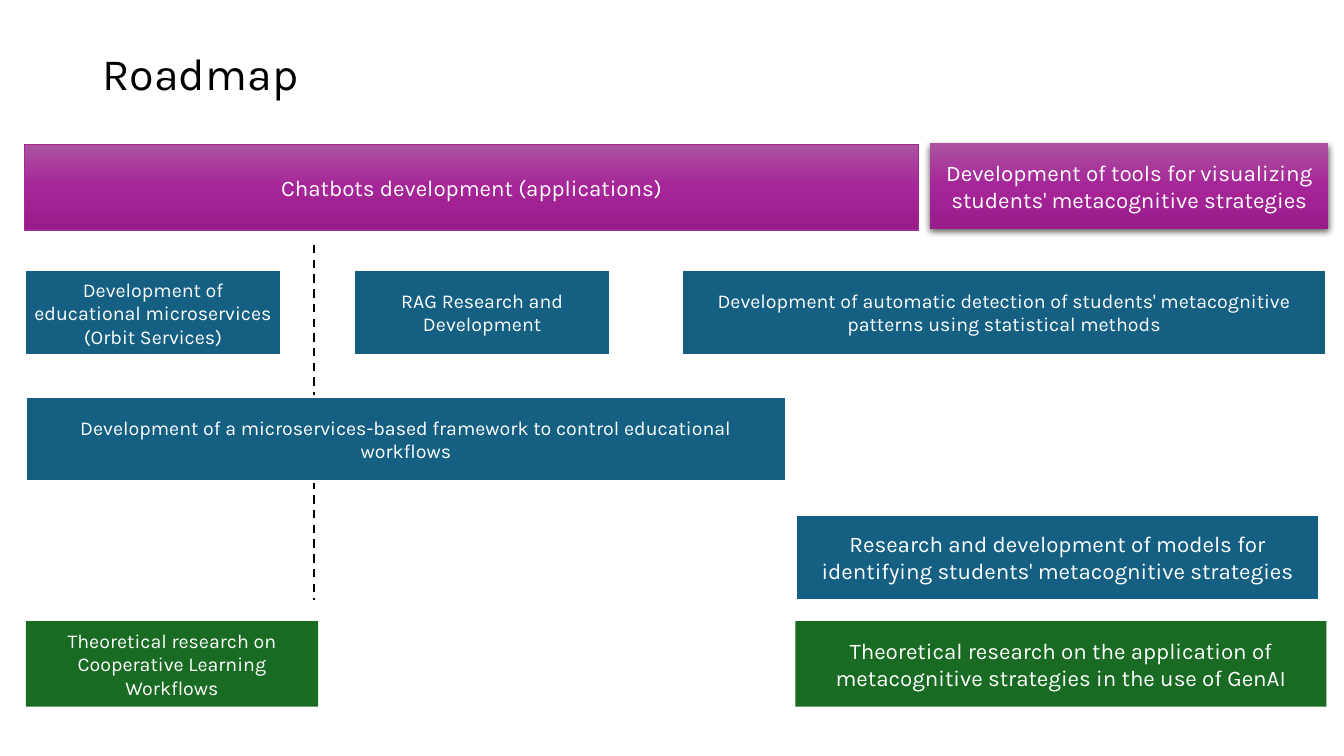
from copy import deepcopy

from lxml import etree
from pptx import Presentation
from pptx.dml.color import RGBColor
from pptx.enum.dml import MSO_LINE
from pptx.enum.shapes import MSO_CONNECTOR, MSO_SHAPE
from pptx.enum.text import MSO_ANCHOR, PP_ALIGN
from pptx.oxml.ns import qn
from pptx.util import Pt

RECTANGLE = MSO_SHAPE.RECTANGLE
STRAIGHT = MSO_CONNECTOR.STRAIGHT
DASH = MSO_LINE.DASH
MIDDLE = MSO_ANCHOR.MIDDLE
LEFT, CENTER = PP_ALIGN.LEFT, PP_ALIGN.CENTER

BLACK = RGBColor(0x00, 0x00, 0x00)
WHITE = RGBColor(0xFF, 0xFF, 0xFF)
BLUE = RGBColor(0x15, 0x60, 0x82)
GREEN = RGBColor(0x19, 0x6B, 0x24)
PURPLE = RGBColor(0xA0, 0x2B, 0x93)
PURPLE_STOPS = [
    (0, RGBColor(0xAC, 0x53, 0xA0)),
    (0.5, RGBColor(0xA6, 0x25, 0x98)),
    (1, RGBColor(0x99, 0x1C, 0x8B)),
]

FONT = "Karla"
BAR_HEIGHT = 61.2
TOOLS_ROW, RESEARCH_ROW, FRAMEWORK_ROW, MODELS_ROW, THEORY_ROW = 102.4, 192.4, 283, 367.4, 443.6


class RoadmapPage:
    def __init__(self, deck):
        self.page = deck.slides.add_slide(deck.slide_layouts[5])

    def add_text(self, shape, text, size, color, align):
        frame = shape.text_frame
        frame.word_wrap = True
        frame.vertical_anchor = MIDDLE
        para = frame.paragraphs[0]
        para.alignment = align
        span = para.add_run()
        span.text = text
        span.font.name = FONT
        span.font.size = Pt(size)
        span.font.color.rgb = color
        return para

    def title(self, text, left, top, width, height):
        title = self.page.shapes.title
        title.left, title.top = Pt(left), Pt(top)
        title.width, title.height = Pt(width), Pt(height)
        self.add_text(title, text, 32, BLACK, LEFT).line_spacing = 0.9

    def bar(self, text, left, top, width, size, outline=None, outline_width=2):
        """Add a bar with its text; the caller chooses its fill."""
        bar = self.page.shapes.add_shape(
            RECTANGLE, Pt(left), Pt(top), Pt(width), Pt(BAR_HEIGHT))
        bar.shadow.inherit = False
        if outline is None:
            bar.line.fill.background()
        else:
            bar.line.color.rgb = outline
            bar.line.width = Pt(outline_width)
        self.add_text(bar, text, size, WHITE, CENTER)
        return bar

    def solid_bar(self, color, *details, **outline):
        bar = self.bar(*details, **outline)
        bar.fill.solid()
        bar.fill.fore_color.rgb = color

    def gradient_bar(self, *details, **outline):
        bar = self.bar(*details, **outline)
        bar.fill.gradient()
        bar.fill.gradient_angle = 270
        stops = bar._element.spPr.find(".//" + qn("a:gsLst"))
        stops.append(deepcopy(stops[0]))
        for stop, (position, color) in zip(bar.fill.gradient_stops, PURPLE_STOPS):
            stop.position = position
            stop.color.rgb = color
        return bar

    def drop_shadow(self, shape):
        effects = shape._element.spPr.find(qn("a:effectLst"))
        shadow = etree.SubElement(
            effects, qn("a:outerShdw"), blurRad=str(Pt(4.5)), dist=str(Pt(1.5)),
            dir="5400000", algn="ctr", rotWithShape="0")
        color = etree.SubElement(shadow, qn("a:srgbClr"), val=str(BLACK))
        etree.SubElement(color, qn("a:alpha"), val="63000")

    def dashed_line(self, left, top, bottom):
        line = self.page.shapes.add_connector(
            STRAIGHT, Pt(left), Pt(top), Pt(left), Pt(bottom))
        line.line.color.rgb = BLACK
        line.line.width = Pt(1.5)
        line.line.dash_style = DASH
        etree.SubElement(line._element.spPr, qn("a:effectLst"))


def main():
    deck = Presentation()
    deck.slide_width, deck.slide_height = Pt(960), Pt(540)
    roadmap = RoadmapPage(deck)
    roadmap.title("Roadmap", 66, 2.2, 828, 104.4)

    roadmap.gradient_bar("Chatbots development (applications)",
                         17.5, 103, 638.8, 16, outline=PURPLE, outline_width=1)
    tools = roadmap.gradient_bar(
        "Development of tools for visualizing students' metacognitive strategies",
        664.4, TOOLS_ROW, 284.4, 16)
    roadmap.drop_shadow(tools)

    roadmap.dashed_line(224.5, 175, 428.6)

    for details in [
        ("Development of educational microservices (Orbit Services)",
         17.5, RESEARCH_ROW + 0.4, 183.8, 14),
        ("RAG Research and Development", 252.6, RESEARCH_ROW, 183.8, 14),
        ("Development of automatic detection of students' metacognitive patterns "
         "using statistical methods", 487, RESEARCH_ROW, 460.6, 14),
        ("Development of a microservices-based framework to control educational workflows",
         18.5, FRAMEWORK_ROW, 543, 14),
        ("Research and development of models for identifying students' "
         "metacognitive strategies", 568.4, MODELS_ROW, 374, 16),
    ]:
        roadmap.solid_bar(BLUE, *details, outline=WHITE)

    for details in [
        ("Theoretical research on Cooperative Learning Workflows",
         18.5, THEORY_ROW, 208.8, 14),
        ("Theoretical research on the application of metacognitive strategies "
         "in the use of GenAI", 568.2, THEORY_ROW, 379.2, 16),
    ]:
        roadmap.solid_bar(GREEN, *details)

    deck.save("out.pptx")


if __name__ == "__main__":
    main()
